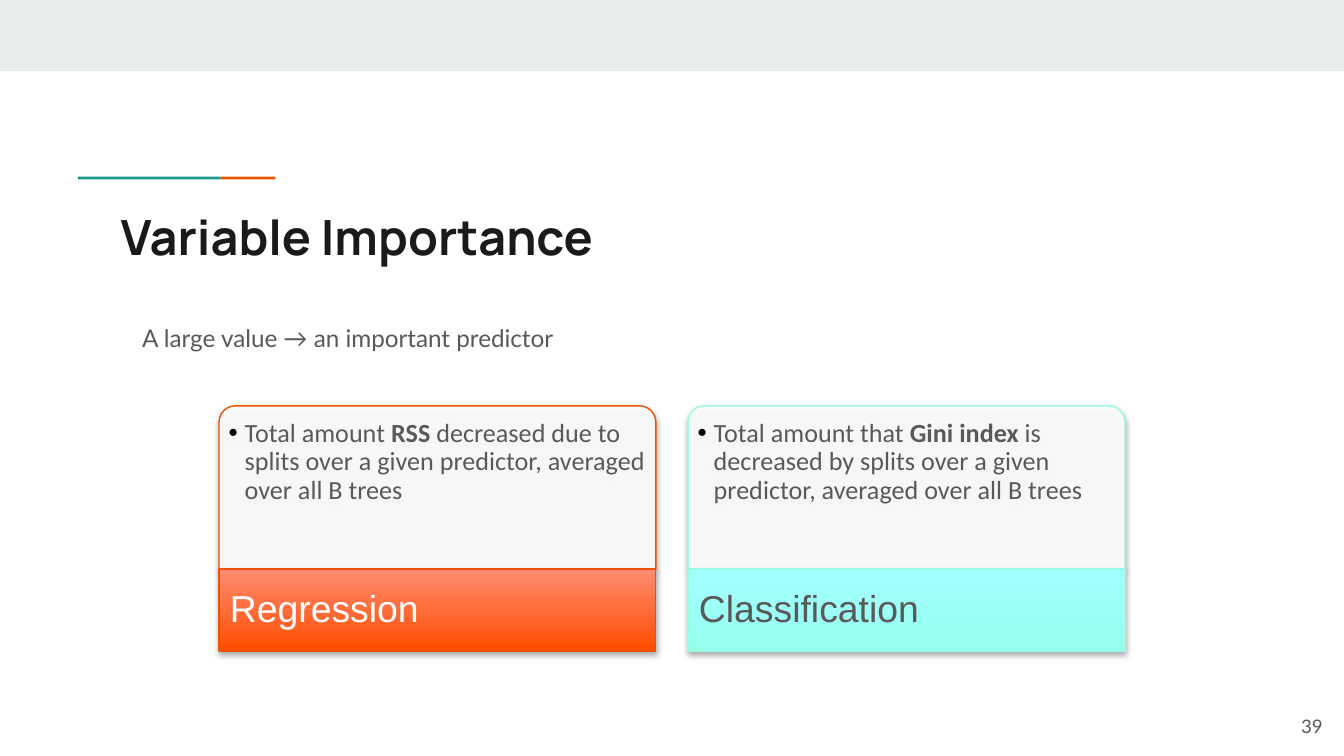
from lxml import etree
from pptx import Presentation
from pptx.dml.color import RGBColor
from pptx.enum.shapes import MSO_SHAPE
from pptx.enum.text import MSO_ANCHOR, PP_ALIGN
from pptx.oxml.ns import qn
from pptx.util import Inches, Pt

RECT = MSO_SHAPE.RECTANGLE
ROUND_TOP = MSO_SHAPE.ROUND_2_SAME_RECTANGLE
TOP, MIDDLE = MSO_ANCHOR.TOP, MSO_ANCHOR.MIDDLE
LEFT, RIGHT = PP_ALIGN.LEFT, PP_ALIGN.RIGHT

THEME = {
    "band": "E9EDEE", "teal": "1A9988", "orange": "EB5600",
    "panel": "FFFFFF", "black": "000000",
    "title": {"name": "Manrope", "size": Pt(26), "bold": True, "color": "1A1A1A"},
    "lead": {"name": "Lato", "size": Pt(13), "color": "595959"},
    "detail": {"name": "Calibri", "size": Pt(14), "color": "595959"},
    "label": {"name": "Arial", "size": Pt(20)},
    "number": {"name": "Lato", "size": Pt(10), "color": "595959"},
}

deck = Presentation()
deck.slide_width = Inches(10)
deck.slide_height = deck.slide_width * 9 // 16
COL, ROW = deck.slide_width / 100, deck.slide_height / 56.25
slide = deck.slides.add_slide(deck.slide_layouts[6])


def add_box(kind, left, top, width, height):
    area = [round(n * unit) for n, unit in zip((left, top, width, height), (COL, ROW) * 2)]
    if kind is None:
        return slide.shapes.add_textbox(*area)
    box = slide.shapes.add_shape(kind, *area)
    box.shadow.inherit = False
    return box


def write(box, runs, style, insets=(1, 1, 1, 1), anchor=TOP, align=LEFT, spacing=1.0):
    frame = box.text_frame
    sides = ("margin_left", "margin_top", "margin_right", "margin_bottom")
    settings = dict(zip(sides, (round(n * COL) for n in insets)))
    for key, value in {**settings, "word_wrap": True, "vertical_anchor": anchor}.items():
        setattr(frame, key, value)
    paragraph = frame.paragraphs[0]
    paragraph.alignment, paragraph.line_spacing = align, spacing
    for words, bold in runs:
        run = paragraph.add_run()
        run.text = words
        for key, value in {"bold": bold, **style}.items():
            if key == "color":
                run.font.color.rgb = RGBColor.from_string(value)
            else:
                setattr(run.font, key, value)
    return paragraph._p.get_or_add_pPr()


for color, *area in [
    (THEME["band"], 0, 0, 100, 5.3),
    (THEME["orange"], 16.4, 13.15, 4.1, 0.2),
    (THEME["teal"], 5.8, 13.15, 10.6, 0.2),
]:
    bar = add_box(RECT, *area)
    bar.fill.solid()
    bar.fill.fore_color.rgb = RGBColor.from_string(color)
    bar.line.fill.background()

write(add_box(None, 8, 14.4, 84.1, 5.9), [("Variable Importance", True)], THEME["title"])
lead = write(add_box(None, 8, 22.7, 84.1, 8.6),
             [("A large value → an important predictor", False)], THEME["lead"], spacing=1.15)
lead.set("marL", str(Inches(0.16)))

measures = [
    {"name": "Regression", "ink": "FFFFFF", "edge": "EA5200", "shades": ("FF4C00", "FF8C70"),
     "detail": [("Total amount ", False), ("RSS", True),
                (" decreased due to splits over a given predictor, averaged over all B trees", False)]},
    {"name": "Classification", "ink": "595959", "edge": "9BFBE2", "shades": ("94FFED", "A4FFFF"),
     "detail": [("Total amount that ", False), ("Gini index", True),
                (" is decreased by splits over a given predictor, averaged over all B trees", False)]},
]
CARD_LEFT, CARD_TOP, CARD_WIDTH, CARD_STEP = 16.3, 30.2, 32.5, 34.9
DETAIL_HEIGHT, LABEL_HEIGHT = 12.15, 6.1

for index, measure in enumerate(measures):
    left = CARD_LEFT + index * CARD_STEP
    detail = add_box(ROUND_TOP, left, CARD_TOP, CARD_WIDTH, DETAIL_HEIGHT)
    detail.adjustments[0] = 0.1
    detail.fill.solid()
    detail.fill.fore_color.rgb = RGBColor.from_string(THEME["panel"])
    panel_color = detail._element.spPr.find(qn("a:solidFill"))[0]
    etree.SubElement(panel_color, qn("a:alpha"), val="90000")

    label = add_box(RECT, left, CARD_TOP + DETAIL_HEIGHT, CARD_WIDTH, LABEL_HEIGHT)
    label.fill.gradient()
    label.fill.gradient_angle = 90
    for stop, shade in zip(label.fill.gradient_stops, measure["shades"]):
        stop.color.rgb = RGBColor.from_string(shade)

    for part in (detail, label):
        part.line.color.rgb = RGBColor.from_string(measure["edge"])
        part.line.width = Pt(0.75)
        effects = part._element.spPr.find(qn("a:effectLst"))
        shadow = etree.SubElement(effects, qn("a:outerShdw"), blurRad=str(Pt(3.1)),
                                  dist=str(Pt(1.8)), dir="5400000", rotWithShape="0")
        shadow_color = etree.SubElement(shadow, qn("a:srgbClr"), val=THEME["black"])
        etree.SubElement(shadow_color, qn("a:alpha"), val="35000")

    bullet = write(detail, measure["detail"], THEME["detail"], (0.35, 0.7, 0.35, 0.2), spacing=0.9)
    bullet.set("marL", str(Inches(0.12)))
    bullet.set("indent", str(-Inches(0.12)))
    bullet_color = etree.SubElement(bullet, qn("a:buClr"))
    etree.SubElement(bullet_color, qn("a:srgbClr"), val=THEME["black"])
    etree.SubElement(bullet, qn("a:buFont"), typeface="Arial")
    etree.SubElement(bullet, qn("a:buChar"), char="•")
    write(label, [(measure["name"], False)], {**THEME["label"], "color": measure["ink"]},
          (0.8, 0, 9.9, 0), MIDDLE, spacing=0.9)

write(add_box(None, 93.4, 51.9, 6, 4.3), [("39", False)], THEME["number"],
      anchor=MIDDLE, align=RIGHT)

deck.save("out.pptx")
